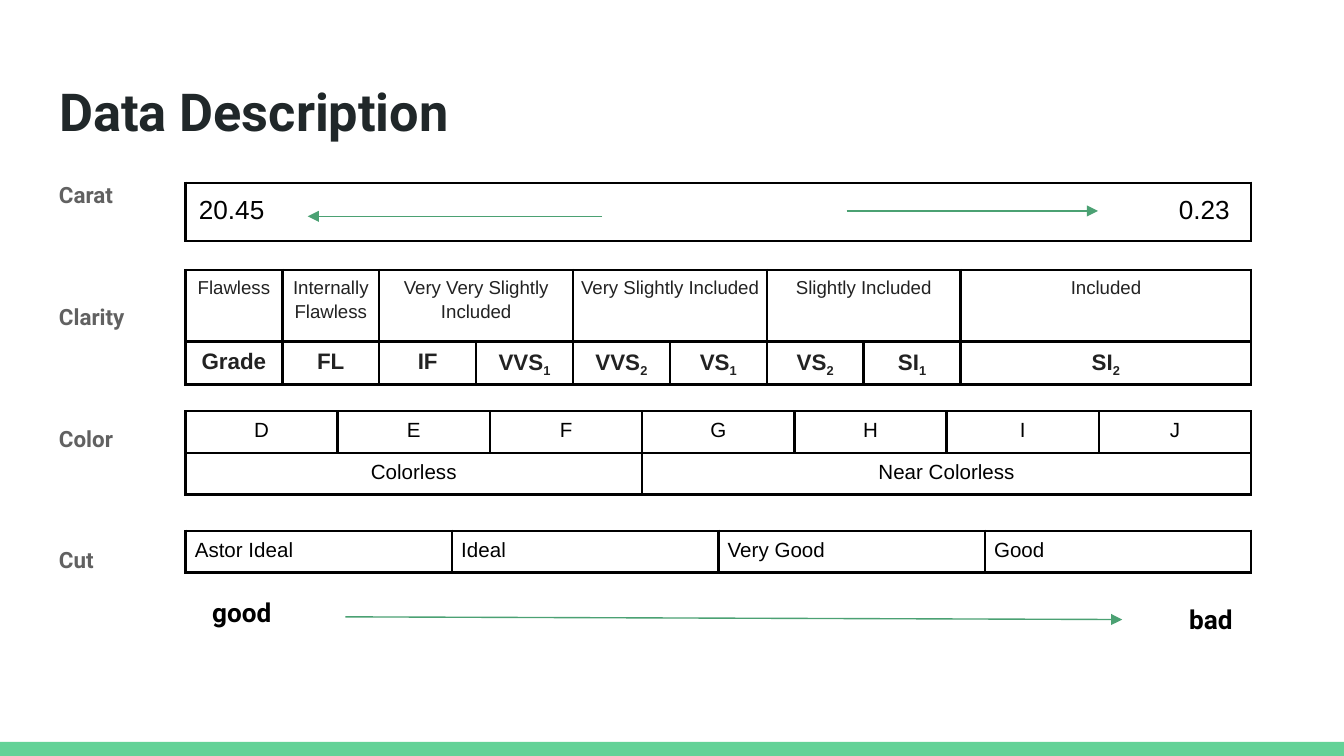
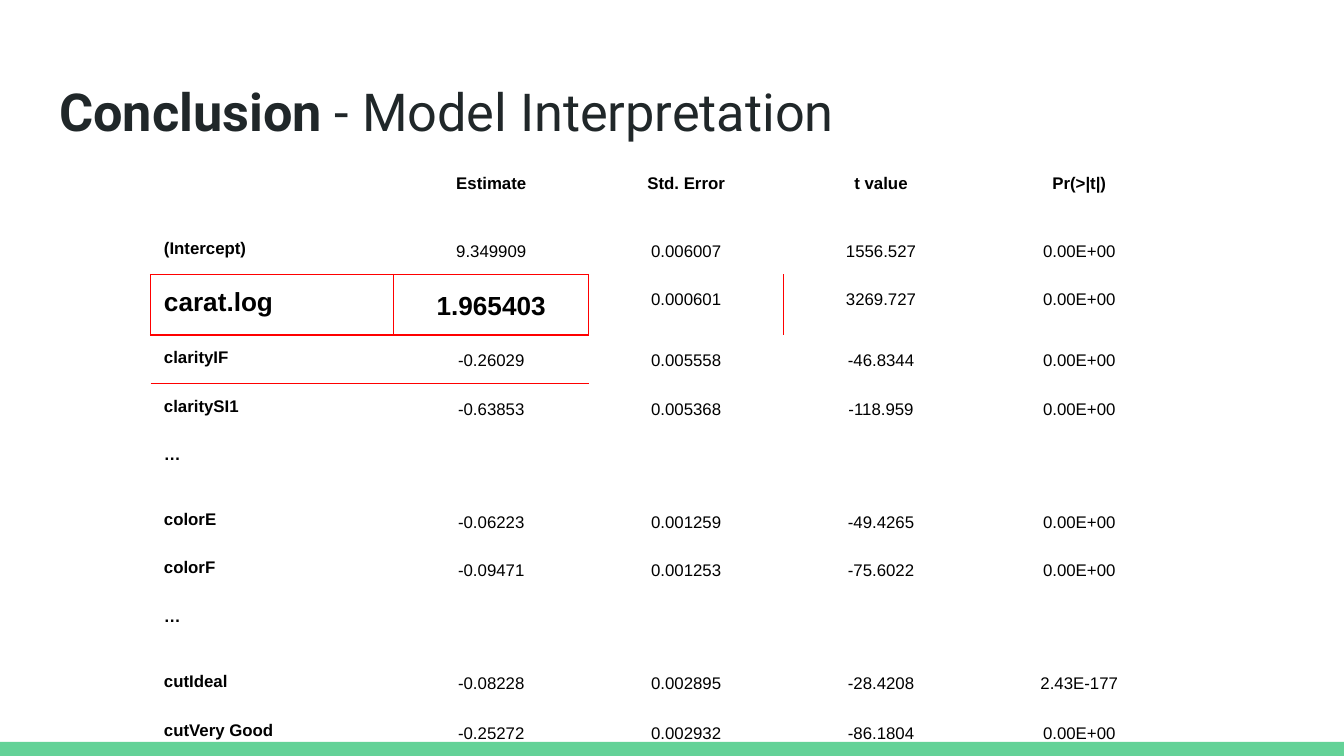
import pptx
import pptx.util
import pptx.dml.color
import pptx.enum.shapes
import pptx.enum.text
import pptx.oxml
import pptx.oxml.ns
import lxml.etree

Inches = pptx.util.Inches
Pt = pptx.util.Pt
RGBColor = pptx.dml.color.RGBColor
ALIGN = pptx.enum.text.PP_ALIGN
qn = pptx.oxml.ns.qn

GREEN = RGBColor(0x63, 0xD2, 0x97)
ARROW = RGBColor(0x4B, 0xA1, 0x73)
INK = RGBColor(0x20, 0x27, 0x29)
GRAY = RGBColor(0x61, 0x61, 0x61)
DARK = RGBColor(0x22, 0x22, 0x22)
BLACK = RGBColor(0, 0, 0)
RED = RGBColor(0xFF, 0, 0)
PLAIN = "{2D5ABB26-0587-4C30-8999-92F81FD0307C}"  # no style, no grid
LEFT, WIDE = 1.38, 7.93


def write(para, text, size=11, font="Arial", color=BLACK, bold=False,
          align=ALIGN.LEFT, line=None, before=None, base=None):
    para.alignment = align
    if line:
        para.line_spacing = line
    if before:
        para.space_before = Pt(before)
    run = para.add_run()
    run.text = text
    run.font.size = Pt(size)
    run.font.name = font
    run.font.bold = bold
    run.font.color.rgb = color
    if base:
        run.font._element.set("baseline", str(base * 1000))


def grid(slide, left, top, cols, rows, pad):
    """Add a plain table; pad is the side and the top inset."""
    frame = slide.shapes.add_table(
        len(rows), len(cols), Inches(left), Inches(top),
        Inches(sum(cols)), Inches(sum(rows)))
    for style in frame.element.iter(qn("a:tableStyleId")):
        style.text = PLAIN
    table = frame.table
    table.first_row = table.horz_banding = False
    for col, width in zip(table.columns, cols):
        col.width = Inches(width)
    for row, height in zip(table.rows, rows):
        row.height = Inches(height)
    for cell in table.iter_cells():
        cell.fill.background()
        cell.margin_left = cell.margin_right = Inches(pad[0])
        cell.margin_top = cell.margin_bottom = Inches(pad[1])
    return table


deck = pptx.Presentation()
deck.slide_width = Inches(10)
deck.slide_height = deck.slide_width * 9 // 16
layout = deck.slide_layouts[5]

# Titles
slides = []
for parts in ([("Data Description", True)],
              [("Conclusion", True), (" - Model Interpretation", False)]):
    slide = deck.slides.add_slide(layout)
    title = slide.shapes.title
    title.left, title.top = Inches(0.34), Inches(0.49)
    title.width, title.height = Inches(9.32), Inches(0.63)
    frame = title.text_frame
    frame.word_wrap = True
    frame.auto_size = pptx.enum.text.MSO_AUTO_SIZE.NONE
    frame.vertical_anchor = pptx.enum.text.MSO_ANCHOR.TOP
    frame.margin_left = frame.margin_right = Inches(0.1)
    frame.margin_top = frame.margin_bottom = Inches(0.1)
    for text, bold in parts:
        write(frame.paragraphs[0], text, size=28, font="Roboto",
              color=INK, bold=bold)
    slides.append(slide)
data, model = slides

# The green band belongs to the layout
band = data.shapes.add_shape(
    pptx.enum.shapes.MSO_SHAPE.RECTANGLE,
    0, Inches(5.52), Inches(10), Inches(0.11))
band.shadow.inherit = False
band.fill.solid()
band.fill.fore_color.rgb = GREEN
band.line.fill.background()
layout.shapes.element.append(band.element)

# Data: labels
for left, top, width, height, color, size, line, words in (
        (0.34, 1.22, 9.32, 4.23, GRAY, 12, 1.15,
         ("Carat", "Clarity", "Color", "Cut")),
        (1.48, 4.34, 1.09, 0.33, BLACK, 14, None, ("good",)),
        (8.75, 4.39, 1.09, 0.43, BLACK, 14, None, ("bad",))):
    box = data.shapes.add_textbox(
        Inches(left), Inches(top), Inches(width), Inches(height))
    frame = box.text_frame
    frame.word_wrap = True
    frame.margin_left = frame.margin_right = Inches(0.1)
    frame.margin_top = frame.margin_bottom = Inches(0.1)
    for i, word in enumerate(words):
        para = frame.paragraphs[0] if i == 0 else frame.add_paragraph()
        write(para, word, size=size, font="Roboto", color=color, bold=True,
              line=line, before=48.6 if i else None)

# Data: tables; each row lists (text, columns spanned)
carat = grid(data, LEFT, 1.36, [WIDE], [0.42], (0.1, 0.1))
para = carat.cell(0, 0).text_frame.paragraphs[0]
tabs = lxml.etree.SubElement(para._p.get_or_add_pPr(), qn("a:tabLst"))
lxml.etree.SubElement(tabs, qn("a:tab"), pos=str(Inches(7.67)), algn="r")
write(para, "20.45\t0.23", size=14)

clarity = grid(data, LEFT, 2.01, [WIDE / 11] * 11, [0.53, 0.29], (0.05, 0.03))
color = grid(data, LEFT, 3.06, [WIDE / 7] * 7, [0.31] * 2, (0.07, 0.06))
cut = grid(data, LEFT, 3.95, [WIDE / 4] * 4, [0.31], (0.07, 0.06))
mid = {"align": ALIGN.CENTER}
kind = {"size": 10, "color": DARK, "line": 1.15, **mid}
grade = {**kind, "size": 12, "bold": True}
for table, r, form, items in (
        (clarity, 0, kind, [
            ("Flawless", 1), ("Internally Flawless", 1),
            ("Very Very Slightly Included", 2), ("Very Slightly Included", 2),
            ("Slightly Included", 2), ("Included", 3)]),
        (clarity, 1, grade, [
            ("Grade", 1), ("FL", 1), ("IF", 1), ("VVS_1", 1), ("VVS_2", 1),
            ("VS_1", 1), ("VS_2", 1), ("SI_1", 1), ("SI_2", 3)]),
        (color, 0, mid, [(letter, 1) for letter in "DEFGHIJ"]),
        (color, 1, mid, [("Colorless", 3), ("Near Colorless", 4)]),
        (cut, 0, {}, [("Astor Ideal", 1), ("Ideal", 1),
                      ("Very Good", 1), ("Good", 1)])):
    c = 0
    for text, span in items:
        cell = table.cell(r, c)
        if span > 1:
            cell.merge(table.cell(r, c + span - 1))
        para = cell.text_frame.paragraphs[0]
        word, _, sub = text.partition("_")
        write(para, word, **form)
        if sub:
            write(para, sub, base=-25, **form)
        c += span

# Data: arrows
for x1, y1, x2, y2 in ((2.57, 4.59, 8.35, 4.61),
                       (6.3, 1.57, 8.17, 1.57),
                       (4.48, 1.61, 2.29, 1.61)):
    arrow = data.shapes.add_connector(
        pptx.enum.shapes.MSO_CONNECTOR.STRAIGHT,
        Inches(x1), Inches(y1), Inches(x2), Inches(y2))
    arrow.line.color.rgb = ARROW
    arrow.line.width = Pt(0.75)
    lxml.etree.SubElement(arrow.line._get_or_add_ln(), qn("a:tailEnd"),
                          type="triangle")
    lxml.etree.SubElement(arrow.element.spPr, qn("a:effectLst"))

# Model: estimates
facts = [
    ("", "Estimate", "Std. Error", "t value", "Pr(>|t|)"),
    ("(Intercept)", "9.349909", "0.006007", "1556.527", "0.00E+00"),
    ("carat.log", "1.965403", "0.000601", "3269.727", "0.00E+00"),
    ("clarityIF", "-0.26029", "0.005558", "-46.8344", "0.00E+00"),
    ("claritySI1", "-0.63853", "0.005368", "-118.959", "0.00E+00"),
    ("…",),
    ("colorE", "-0.06223", "0.001259", "-49.4265", "0.00E+00"),
    ("colorF", "-0.09471", "0.001253", "-75.6022", "0.00E+00"),
    ("…",),
    ("cutIdeal", "-0.08228", "0.002895", "-28.4208", "2.43E-177"),
    ("cutVery Good", "-0.25272", "0.002932", "-86.1804", "0.00E+00"),
]
highs = [0.48, 0.36, 0.45, 0.36, 0.36, 0.48, 0.36, 0.36, 0.48, 0.37, 0.36]
fit = grid(model, 1.12, 1.2, [1.81, 1.45, 1.45, 1.45, 1.5], highs, (0.1, 0.1))
for r, row in enumerate(facts):
    for c in range(5):
        cell = fit.cell(r, c)
        if c >= len(row) or not row[c]:
            cell.margin_top = cell.margin_bottom = Inches(0.05)
            continue
        key = r == 2 and c < 2
        write(cell.text_frame.paragraphs[0], row[c], size=14 if key else 9,
              bold=key or r == 0 or c == 0,
              align=ALIGN.CENTER if c else ALIGN.LEFT,
              line=1.15 if r and c else None)

# Cell borders: (cell, sides in the order L R T B, colour, points)
edges = [(cell, "LRTB", BLACK, 1.5)
         for table in (carat, clarity, color, cut)
         for cell in table.iter_cells()]
for c in range(2):
    for r, sides in ((1, "B"), (2, "LRTB"), (3, "T")):
        edges.append((fit.cell(r, c), sides, RED, 0.75))
edges.append((fit.cell(2, 2), "L", RED, 0.75))
for cell, sides, hue, points in edges:
    props = cell._tc.get_or_add_tcPr()
    for side in sides:
        edge = lxml.etree.Element(qn("a:ln" + side), w=str(Pt(points)))
        fill = lxml.etree.SubElement(edge, qn("a:solidFill"))
        lxml.etree.SubElement(fill, qn("a:srgbClr"), val=str(hue))
        props.insert(len(props) - 1, edge)

deck.save("out.pptx")
